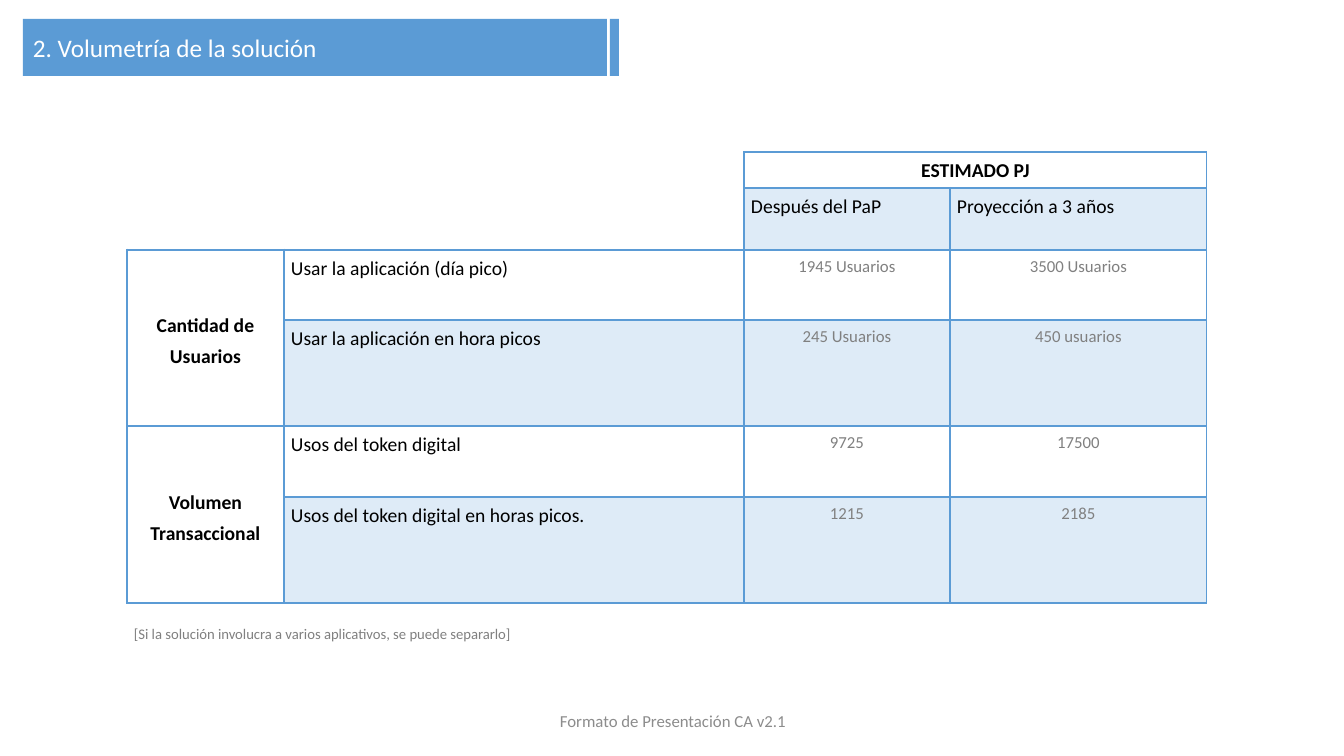
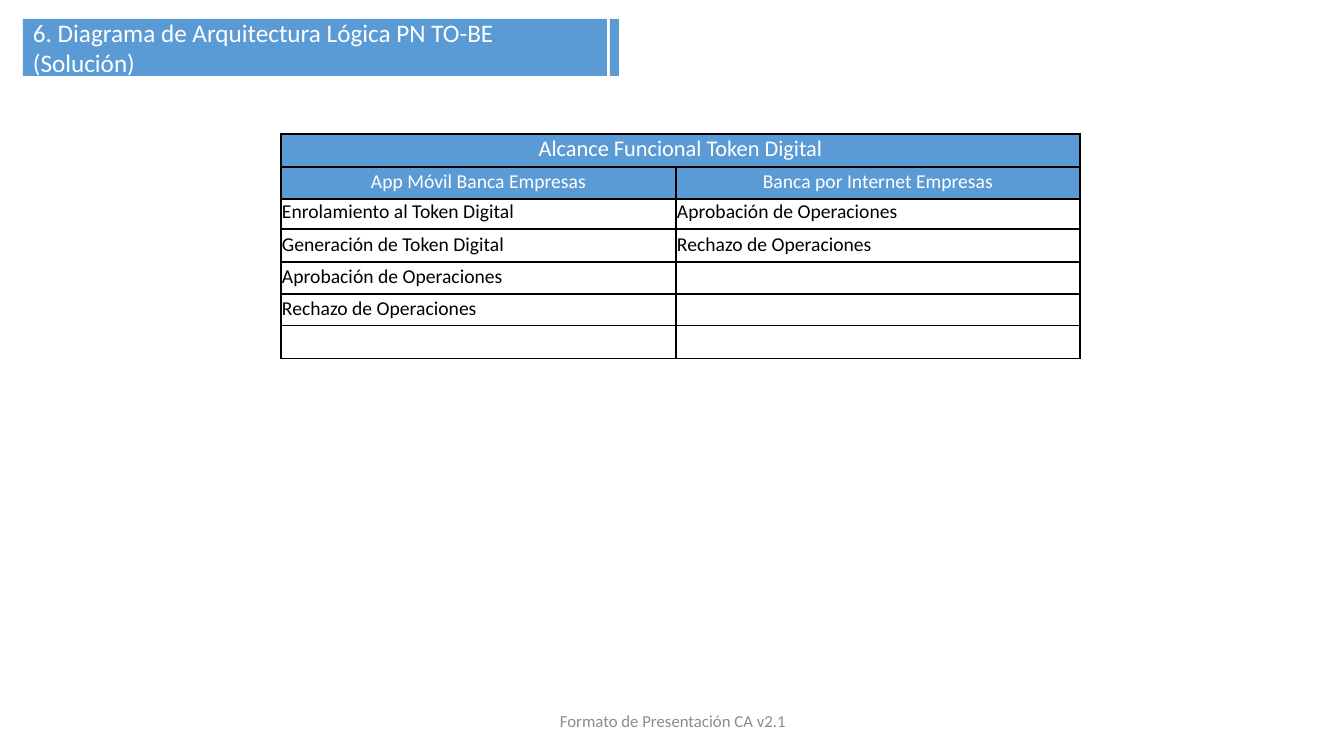
from lxml.etree import SubElement
from pptx import Presentation
from pptx.dml.color import RGBColor
from pptx.enum.shapes import MSO_SHAPE
from pptx.enum.text import MSO_ANCHOR, PP_ALIGN
from pptx.oxml.ns import qn
from pptx.util import Pt

PX = 914400 / 100.8
FONT = "Calibri"
BLUE = RGBColor(0x5B, 0x9B, 0xD5)
PALE = RGBColor(0xDE, 0xEB, 0xF7)
WHITE = RGBColor(0xFF, 0xFF, 0xFF)
BLACK = RGBColor(0, 0, 0)
GRAY = RGBColor(0x80, 0x80, 0x80)
FOOTER_GRAY = RGBColor(0x8C, 0x8C, 0x8C)

FOOTER = "Formato de Presentación CA v2.1"

VOLUME_TITLE = "2. Volumetría de la solución"
VOLUME_NOTE = "[Si la solución involucra a varios aplicativos, se puede separarlo]"
VOLUME_COLS = [157, 460, 206, 257]
VOLUME_ROWS = [36, 62, 70, 106, 71, 106]
VOLUME_MERGES = [(0, 0, 1, 1), (0, 2, 0, 3), (2, 0, 3, 0), (4, 0, 5, 0)]
VOLUME = [
    ["", "", "ESTIMADO PJ", ""],
    ["", "", "Después del PaP", "Proyección a 3 años"],
    ["Cantidad de Usuarios", "Usar la aplicación (día pico)", "1945 Usuarios", "3500 Usuarios"],
    ["", "Usar la aplicación en hora picos", "245 Usuarios", "450 usuarios"],
    ["Volumen Transaccional", "Usos del token digital", "9725", "17500"],
    ["", "Usos del token digital en horas picos.", "1215", "2185"],
]

SCOPE_TITLE = "6. Diagrama de Arquitectura Lógica PN TO-BE (Solución)"
SCOPE_COLS = [395, 404]
SCOPE_ROWS = [33, 32, 30, 33, 32, 32, 33]
SCOPE_MERGES = [(0, 0, 0, 1)]
SCOPE = [
    ["Alcance Funcional Token Digital", ""],
    ["App Móvil Banca Empresas", "Banca por Internet Empresas"],
    ["Enrolamiento al Token Digital", "Aprobación de Operaciones"],
    ["Generación de Token Digital", "Rechazo de Operaciones"],
    ["Aprobación de Operaciones", ""],
    ["Rechazo de Operaciones", ""],
    ["", ""],
]


def px(n):
    return round(n * PX)


def box(*lengths):
    return [px(n) for n in lengths]


def write(p, text, size, color, bold=False, align=PP_ALIGN.LEFT, spacing=None):
    p.alignment = align
    p.line_spacing = spacing
    r = p.add_run()
    r.text = text
    r.font.name = FONT
    r.font.size = Pt(size)
    r.font.bold = bold
    r.font.color.rgb = color


def add_bar(s, x, w):
    sp = s.shapes.add_shape(MSO_SHAPE.RECTANGLE, *box(x, 19, w, 57))
    sp.shadow.inherit = False
    sp.fill.solid()
    sp.fill.fore_color.rgb = BLUE
    sp.line.fill.background()
    return sp


def add_text(s, area, text, size, color, wrap=True, anchor=MSO_ANCHOR.TOP, **style):
    tf = s.shapes.add_textbox(*box(*area)).text_frame
    tf.word_wrap = wrap
    tf.vertical_anchor = anchor
    write(tf.paragraphs[0], text, size, color, **style)


def add_slide(prs, title):
    s = prs.slides.add_slide(prs.slide_layouts[6])
    tf = add_bar(s, 23, 584).text_frame
    tf.word_wrap = True
    tf.vertical_anchor = MSO_ANCHOR.MIDDLE
    write(tf.paragraphs[0], title, 18, WHITE)
    add_bar(s, 610, 9)
    add_text(s, (446, 701, 454, 40), FOOTER, 12, FOOTER_GRAY,
             anchor=MSO_ANCHOR.MIDDLE, align=PP_ALIGN.CENTER)
    return s


def set_borders(cell, color, widths):
    tcPr = cell._tc.get_or_add_tcPr()
    for side, width in zip("LRTB", widths):
        ln = SubElement(tcPr, qn(f"a:ln{side}"), w=str(Pt(width)))
        if width:
            fill = SubElement(ln, qn("a:solidFill"))
            SubElement(fill, qn("a:srgbClr"), val=str(color))
        else:
            SubElement(ln, qn("a:noFill"))


def add_table(s, x, y, cols, rows, texts, merges, insets, line, look):
    frame = s.shapes.add_table(len(rows), len(cols), *box(x, y, sum(cols), sum(rows)))
    table = frame.table
    table.first_row = table.horz_banding = False
    for column, w in zip(table.columns, cols):
        column.width = px(w)
    for row, h in zip(table.rows, rows):
        row.height = px(h)
    for i, row in enumerate(texts):
        for j, text in enumerate(row):
            cell = table.cell(i, j)
            fill, anchor, widths, style = look(i, j)
            cell.margin_left, cell.margin_top, cell.margin_right, cell.margin_bottom = box(*insets)
            cell.vertical_anchor = anchor
            set_borders(cell, line, widths)
            if fill is None:
                cell.fill.background()
            else:
                cell.fill.solid()
                cell.fill.fore_color.rgb = fill
            p = cell.text_frame.paragraphs[0]
            if text:
                write(p, text, **style)
            else:
                p._p.get_or_add_endParaRPr().set("sz", "1400")
    for top, left, bottom, right in merges:
        table.cell(top, left).merge(table.cell(bottom, right))


def volume_look(i, j):
    corner = i < 2 and j < 2
    group = j == 0
    value = i > 1 and j > 1
    centered = group or value or i == 0
    fill = PALE if i % 2 and not group and not corner else None
    outer = 0 if corner else 1
    widths = (outer, 1, outer, 2 if i == 0 else 1)
    style = dict(size=12 if value else 14, color=GRAY if value else BLACK,
                 bold=group or i == 0, spacing=1.3,
                 align=PP_ALIGN.CENTER if centered else PP_ALIGN.LEFT)
    return fill, MSO_ANCHOR.MIDDLE if group else MSO_ANCHOR.TOP, widths, style


def scope_look(i, j):
    header = i < 2
    style = dict(size=16 if i == 0 else 14, color=WHITE if header else BLACK,
                 align=PP_ALIGN.CENTER if header else PP_ALIGN.LEFT)
    return BLUE if header else None, MSO_ANCHOR.BOTTOM, (1, 1, 1, 1), style


def main():
    prs = Presentation()
    prs.slide_width, prs.slide_height = box(1344, 756)

    s = add_slide(prs, VOLUME_TITLE)
    add_table(s, 127, 152, VOLUME_COLS, VOLUME_ROWS, VOLUME, VOLUME_MERGES,
              (7, 0, 7, 0), BLUE, volume_look)
    add_text(s, (124, 611, 416, 35), VOLUME_NOTE, 10.5, GRAY, wrap=False, spacing=1.5)

    s = add_slide(prs, SCOPE_TITLE)
    add_table(s, 281, 134, SCOPE_COLS, SCOPE_ROWS, SCOPE, SCOPE_MERGES,
              (1, 1, 1, 5), BLACK, scope_look)

    prs.save("out.pptx")


if __name__ == "__main__":
    main()
